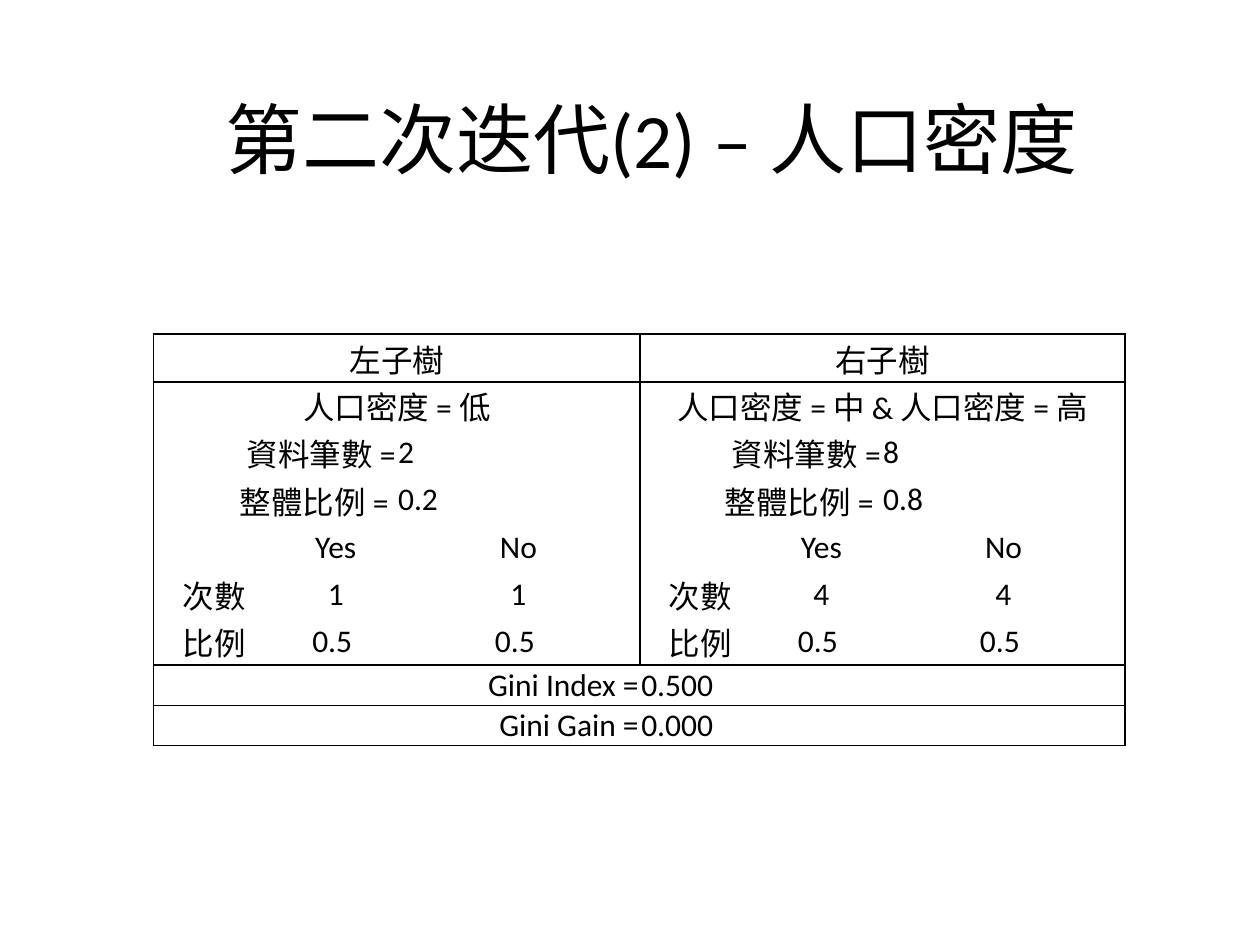
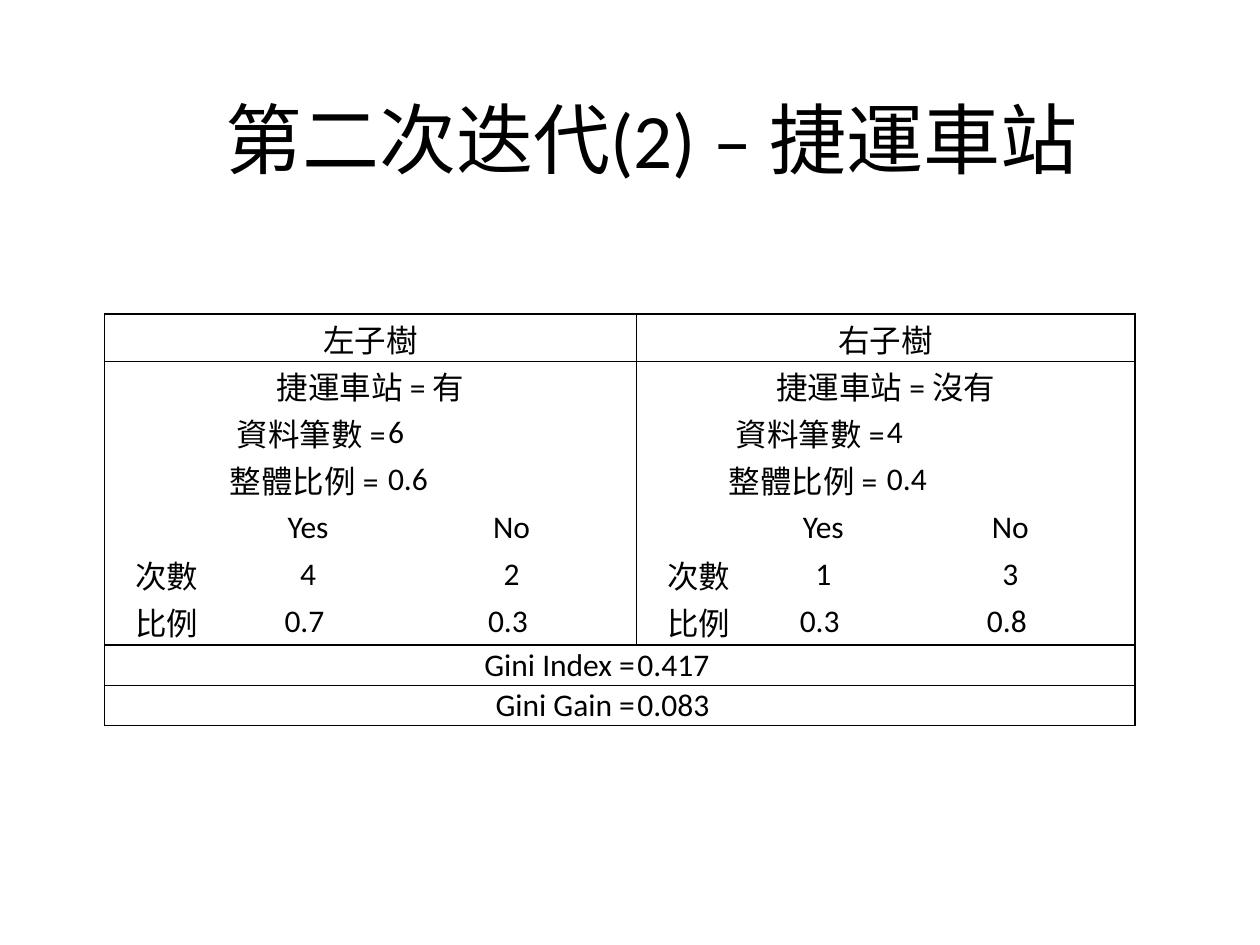
"""Build two slides that compare candidate splits of a decision tree."""
from dataclasses import dataclass

from lxml import etree
from pptx import Presentation
from pptx import util as u
from pptx.dml.color import RGBColor
from pptx.enum import text
from pptx.oxml import ns

FONT = "Calibri"
INK = "000000"
LEFT, CENTER, RIGHT = text.PP_ALIGN.LEFT, text.PP_ALIGN.CENTER, text.PP_ALIGN.RIGHT
ROW_HEIGHTS = [0.38, 0.37] * 3 + [0.38] + [0.32] * 2
OUTLINED_BLOCKS = [
    (0, 0, 0, 2), (0, 3, 0, 5),
    (1, 0, 6, 2), (1, 3, 6, 5),
    (7, 0, 7, 5), (8, 0, 8, 5),
]


@dataclass
class Subtree:
    """One branch of a split."""
    name: str
    condition: str
    count: str
    share: str
    yes: tuple[str, str]
    no: tuple[str, str]


@dataclass
class Split:
    """One candidate split and the layout of its table."""
    attribute: str
    left: float
    top: float
    columns: tuple[float, ...]
    subtrees: tuple[Subtree, Subtree]
    gini_index: str
    gini_gain: str


SPLITS = [
    Split("人口密度", 1.22, 2.65, (0.96, 0.97, 1.93, 0.96, 0.96, 1.93),
          (Subtree("左子樹", "人口密度 = 低", "2", "0.2", ("1", "0.5 "), ("1", "0.5 ")),
           Subtree("右子樹", "人口密度 = 中 & 人口密度 = 高", "8", "0.8",
                   ("4", "0.5 "), ("4", "0.5 "))),
          "0.500", "0.000"),
    Split("捷運車站", 0.83, 2.49, (0.99, 1.25, 1.98, 0.99, 0.99, 1.98),
          (Subtree("左子樹", "捷運車站 = 有", "6", "0.6", ("4", "0.7 "), ("2", "0.3 ")),
           Subtree("右子樹", "捷運車站 = 沒有", "4", "0.4", ("1", "0.3 "), ("3", "0.8 "))),
          "0.417", "0.083"),
]


def color(value: str) -> RGBColor:
    """Turn a hex string into a colour."""
    return RGBColor.from_string(value)


def write(frame, words: str, *, size: float = 18, align=CENTER, ink: str = INK) -> None:
    """Write one formatted paragraph into a text frame."""
    paragraph = frame.paragraphs[0]
    paragraph.alignment = align
    run = paragraph.add_run()
    run.text = words
    run.font.name = FONT
    run.font.size = u.Pt(size)
    run.font.color.rgb = color(ink)


def put(table, row: int, column: int, words: str, align=CENTER, span: int = 1) -> None:
    """Fill a cell, merged over the columns it spans."""
    cell = table.cell(row, column)
    if span > 1:
        cell.merge(table.cell(row, column + span - 1))
    write(cell.text_frame, words, align=align)


def draw_edges(cell, edges: dict[str, bool]) -> None:
    """Draw or clear the borders of a cell."""
    properties = cell._tc.get_or_add_tcPr()
    for position, (side, drawn) in enumerate(edges.items()):
        line = etree.Element(ns.qn(f"a:ln{side}"), w=str(u.Pt(1)))
        if drawn:
            fill = etree.SubElement(line, ns.qn("a:solidFill"))
            etree.SubElement(fill, ns.qn("a:srgbClr"), val=INK)
        else:
            etree.SubElement(line, ns.qn("a:noFill"))
        properties.insert(position, line)


def outline(table, top: int, left: int, bottom: int, right: int) -> None:
    """Style the cells of a block and draw a border around it."""
    for row in range(top, bottom + 1):
        for column in range(left, right + 1):
            cell = table.cell(row, column)
            cell.vertical_anchor = text.MSO_ANCHOR.MIDDLE
            cell.margin_left = cell.margin_right = cell.margin_top = u.Inches(0.01)
            cell.margin_bottom = u.Inches(0)
            cell.fill.background()
            draw_edges(cell, {
                "L": column == left,
                "R": column + cell.span_width - 1 == right,
                "T": row == top,
                "B": row == bottom,
            })


def fill_subtree(table, first: int, subtree: Subtree) -> None:
    """Fill the three columns of one branch."""
    put(table, 0, first, subtree.name, span=3)
    put(table, 1, first, subtree.condition, span=3)
    totals = [("資料筆數 =", subtree.count), ("整體比例 = ", subtree.share)]
    for row, (label, value) in enumerate(totals, start=2):
        put(table, row, first, label, RIGHT, span=2)
        put(table, row, first + 2, value, LEFT)
    for row, label in enumerate(("次數", "比例"), start=5):
        put(table, row, first, label)
    classes = [("Yes", *subtree.yes), ("No", *subtree.no)]
    for column, entries in enumerate(classes, start=first + 1):
        for row, entry in enumerate(entries, start=4):
            put(table, row, column, entry)


def add_title(slide, attribute: str) -> None:
    """Add the slide title."""
    title = slide.shapes.add_textbox(
        u.Inches(0.67), u.Inches(0.47), u.Inches(9), u.Inches(1.25)).text_frame
    title.word_wrap = True
    title.vertical_anchor = text.MSO_ANCHOR.MIDDLE
    write(title, f"第二次迭代(2) – {attribute}", size=44)


def add_split_table(slide, split: Split) -> None:
    """Add the table that evaluates a split."""
    table = slide.shapes.add_table(
        len(ROW_HEIGHTS), len(split.columns), u.Inches(split.left), u.Inches(split.top),
        u.Inches(sum(split.columns)), u.Inches(sum(ROW_HEIGHTS))).table
    table.first_row = table.horz_banding = False
    for column, width in zip(table.columns, split.columns):
        column.width = u.Inches(width)
    for row, height in zip(table.rows, ROW_HEIGHTS):
        row.height = u.Inches(height)
    for number, subtree in enumerate(split.subtrees):
        fill_subtree(table, 3 * number, subtree)
    scores = [("Gini Index =", split.gini_index), ("Gini Gain =", split.gini_gain)]
    for row, (label, value) in enumerate(scores, start=7):
        put(table, row, 0, label, RIGHT, span=3)
        put(table, row, 3, value, LEFT, span=3)
    for block in OUTLINED_BLOCKS:
        outline(table, *block)


def main() -> None:
    """Build and save the presentation."""
    deck = Presentation()
    deck.slide_width, deck.slide_height = u.Inches(10), u.Inches(7.5)
    for split in SPLITS:
        slide = deck.slides.add_slide(deck.slide_layouts[6])
        add_title(slide, split.attribute)
        add_split_table(slide, split)
    deck.save("out.pptx")


if __name__ == "__main__":
    main()
